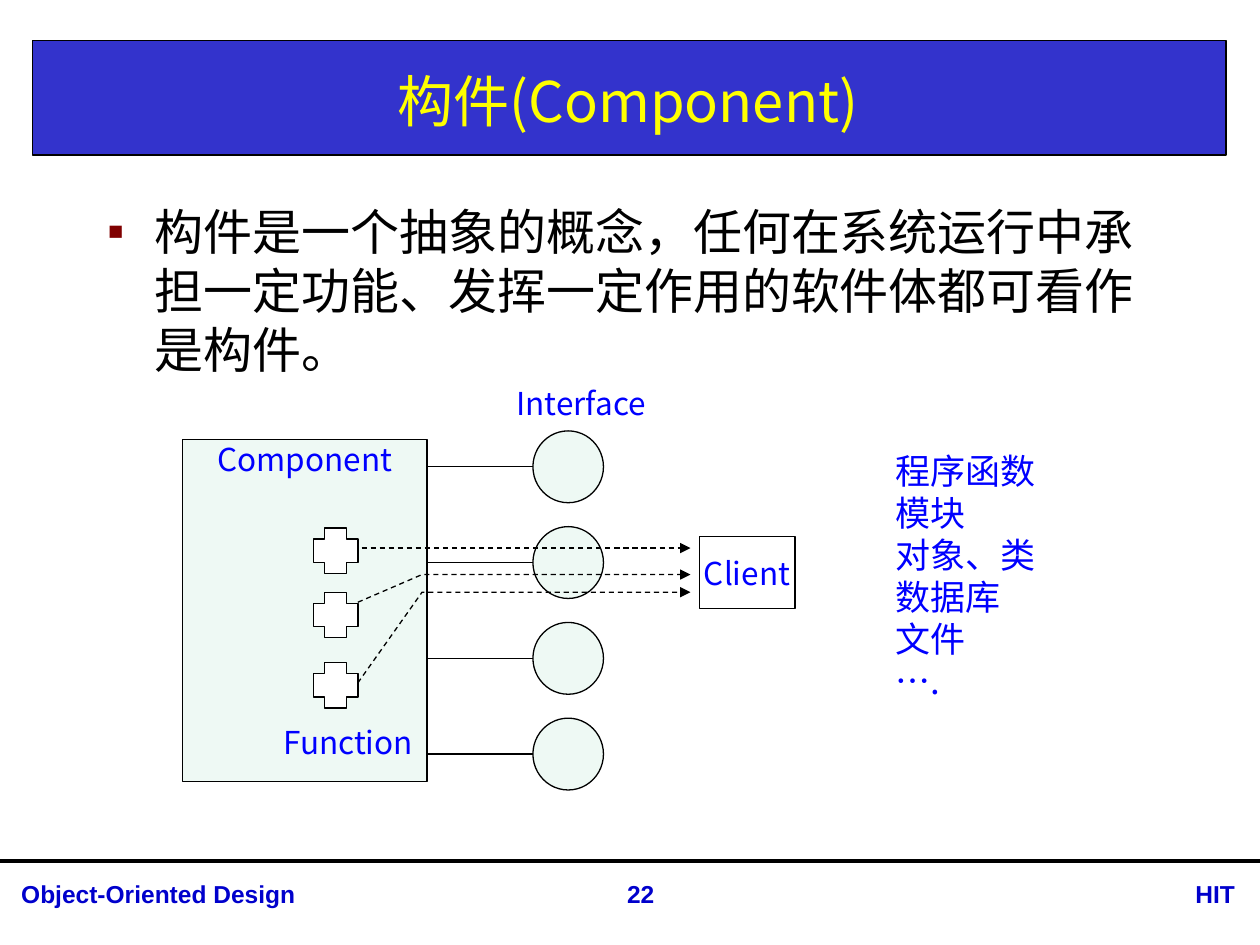
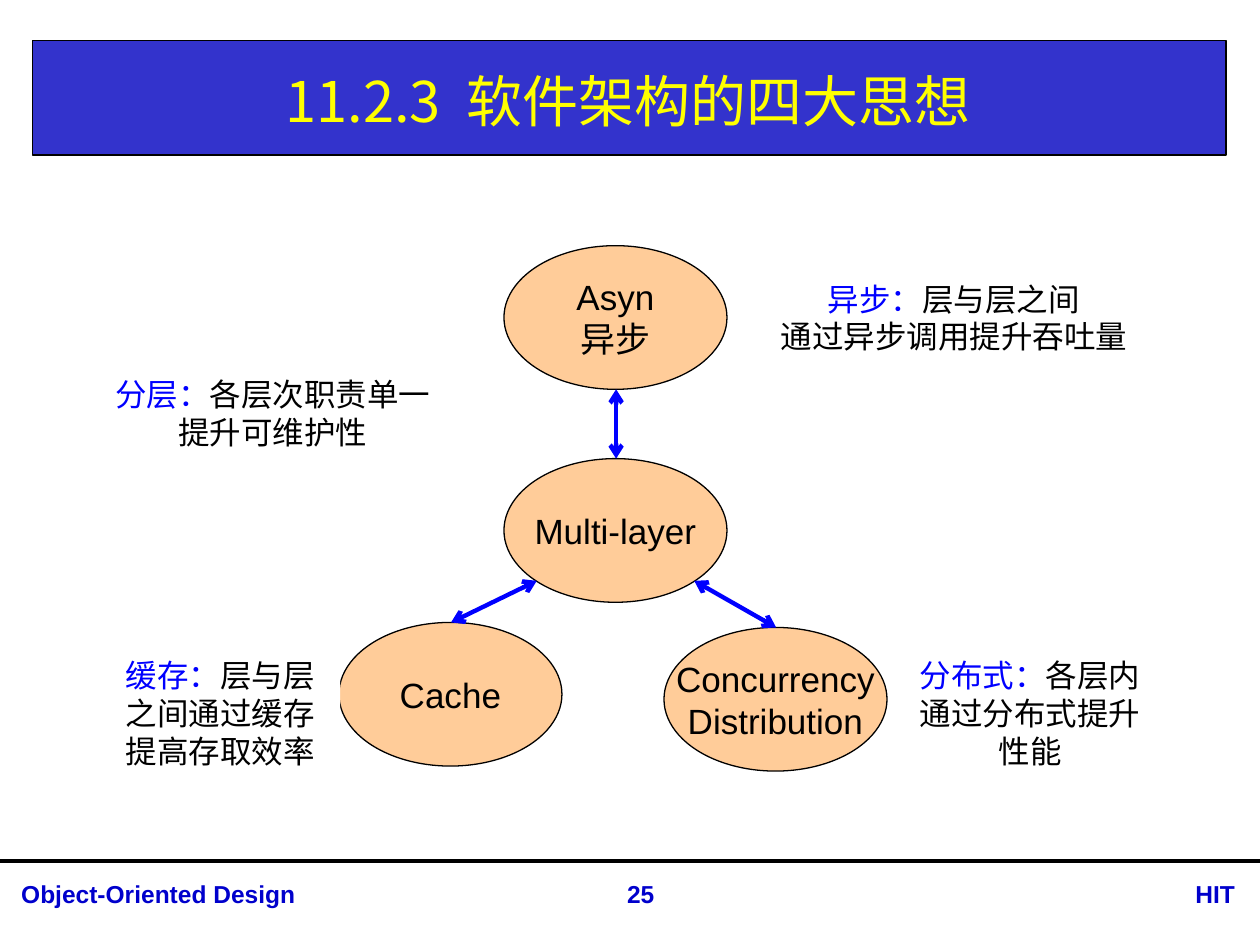
from lxml.etree import SubElement
from pptx import Presentation
from pptx.dml.color import RGBColor
from pptx.enum.dml import MSO_LINE
from pptx.enum.shapes import MSO_CONNECTOR, MSO_SHAPE
from pptx.enum.text import MSO_ANCHOR, MSO_AUTO_SIZE, PP_ALIGN
from pptx.oxml.ns import qn
from pptx.util import Inches, Pt

COLORS = {
    "band": "3333CC", "title": "FFFF00", "footer": "0000CC", "accent": "0000FF",
    "ink": "000000", "paper": "FFFFFF", "mint": "EEF9F4", "peach": "FFCC99",
    "bullet": "800000",
}
CJK_FONT = "Noto Sans CJK SC"
LATIN_FONT = "Arial"
TITLE_ONLY, TITLE_AND_BODY = 5, 1


def rgb(name):
    """Return the named palette colour."""
    return RGBColor.from_string(COLORS[name])


def write_text(shape, paragraphs, size=18, color="accent", font=CJK_FONT, bold=False,
               align=PP_ALIGN.LEFT, anchor=MSO_ANCHOR.TOP, wrap=True, top_inset=0.05):
    """Fill a shape with paragraphs, each a string or a list of (text, color) runs."""
    frame = shape.text_frame
    frame.auto_size = MSO_AUTO_SIZE.NONE
    frame.word_wrap = wrap
    frame.vertical_anchor = anchor
    frame.margin_top = Inches(top_inset)
    for index, content in enumerate(paragraphs):
        paragraph = frame.add_paragraph() if index else frame.paragraphs[0]
        paragraph.alignment = align
        paragraph.space_before = Pt(0)
        paragraph.line_spacing = Pt(round(size * 1.2, 1))
        runs = [(content, color)] if isinstance(content, str) else content
        for text, run_color in runs:
            run = paragraph.add_run()
            run.text = text
            run.font.size = Pt(size)
            run.font.bold = bold
            run.font.name = font
            run.font.color.rgb = rgb(run_color)
            SubElement(run._r.get_or_add_rPr(), qn("a:ea"), typeface=CJK_FONT)


def place(shape, box):
    """Move a shape to a box given in inches."""
    shape.left, shape.top, shape.width, shape.height = map(Inches, box)


def add_box(slide, kind, box, fill, outlined=True):
    """Add a flat preset shape with an optional thin outline."""
    shape = slide.shapes.add_shape(kind, *map(Inches, box))
    shape.shadow.inherit = False
    shape.fill.solid()
    shape.fill.fore_color.rgb = rgb(fill)
    if outlined:
        shape.line.color.rgb = rgb("ink")
        shape.line.width = Pt(0.75)
    else:
        shape.line.fill.background()
    return shape


def add_label(slide, box, paragraphs, **text_format):
    """Add a text box and write into it."""
    write_text(slide.shapes.add_textbox(*map(Inches, box)), paragraphs, **text_format)


def style_line(shape, color="ink", width=0.75, dashed=False, head=None, tail=None):
    """Set colour, width, dash and arrowheads of a line."""
    shape.line.color.rgb = rgb(color)
    shape.line.width = Pt(width)
    if dashed:
        shape.line.dash_style = MSO_LINE.DASH
    outline = shape.line._get_or_add_ln()
    for tag, arrow in (("a:headEnd", head), ("a:tailEnd", tail)):
        if arrow:
            SubElement(outline, qn(tag), type=arrow)


def add_line(slide, start, end, **line_format):
    """Add a straight connector without shadow."""
    connector = slide.shapes.add_connector(
        MSO_CONNECTOR.STRAIGHT, *map(Inches, (*start, *end)))
    style_line(connector, **line_format)
    SubElement(connector._element.spPr, qn("a:effectLst"))


def add_bent_line(slide, points, **line_format):
    """Add an open outline through the given points."""
    start, *rest = [(Inches(x), Inches(y)) for x, y in points]
    builder = slide.shapes.build_freeform(*start)
    builder.add_line_segments(rest, close=False)
    shape = builder.convert_to_shape()
    shape.shadow.inherit = False
    shape.fill.background()
    style_line(shape, **line_format)


def add_framed_slide(presentation, layout, title, number):
    """Add a slide with the title band and the footer."""
    slide = presentation.slides.add_slide(presentation.slide_layouts[layout])
    band = add_box(slide, MSO_SHAPE.RECTANGLE, (0.26, 0.32, 9.47, 0.91), "band")
    slide.shapes._spTree.insert(2, band._element)
    place(slide.shapes.title, (0.26, 0.36, 9.45, 0.87))
    write_text(slide.shapes.title, [title], size=32, color="title",
               align=PP_ALIGN.CENTER, anchor=MSO_ANCHOR.MIDDLE)
    add_line(slide, (0, 6.83), (10, 6.83), width=2.25)
    footers = [
        (0.07, 4.63, "Object-Oriented Design", PP_ALIGN.LEFT),
        (4.57, 1.03, number, PP_ALIGN.CENTER),
        (8.87, 1.03, "HIT", PP_ALIGN.RIGHT),
    ]
    for left, width, text, align in footers:
        add_label(slide, (left, 6.93, width, 0.34), [text], size=14, color="footer",
                  font=LATIN_FONT, bold=True, align=align)
    return slide


def add_bullet_body(slide, box, text):
    """Write one bulleted paragraph into the body placeholder."""
    body = slide.placeholders[1]
    place(body, box)
    write_text(body, [text], size=28, color="ink")
    properties = body.text_frame.paragraphs[0]._p.get_or_add_pPr()
    properties.set("marL", str(Inches(0.38)))
    properties.set("indent", str(-Inches(0.38)))
    bullet_color = SubElement(properties, qn("a:buClr"))
    SubElement(bullet_color, qn("a:srgbClr"), val=COLORS["bullet"])
    SubElement(properties, qn("a:buChar"), char="▪")


def add_component_diagram(slide, left, top):
    """Draw a component, its interfaces and functions, and the client."""
    component = add_box(slide, MSO_SHAPE.RECTANGLE, (left, top + 0.49, 1.94, 2.71), "mint")
    write_text(component, ["Component"], align=PP_ALIGN.CENTER, wrap=False, top_inset=0)

    for index in range(4):
        circle_top = top + 0.42 + index * 0.76
        add_box(slide, MSO_SHAPE.OVAL, (left + 2.78, circle_top, 0.56, 0.57), "mint")
        middle = circle_top + 0.285
        add_line(slide, (left + 1.94, middle), (left + 2.78, middle))
    add_label(slide, (left + 2.55, top, 1.32, 0.4), ["Interface"], wrap=False)

    client = add_box(slide, MSO_SHAPE.RECTANGLE, (left + 4.1, top + 1.26, 0.76, 0.57), "paper")
    write_text(client, ["Client"], align=PP_ALIGN.CENTER, anchor=MSO_ANCHOR.MIDDLE, wrap=False)

    for offset in (1.19, 1.7, 2.26):
        plus = add_box(slide, MSO_SHAPE.CROSS, (left + 1.04, top + offset, 0.35, 0.36), "paper")
        plus.adjustments[0] = 0.25
    add_label(slide, (left + 0.7, top + 2.69, 1.25, 0.4), ["Function"], wrap=False)

    call_format = {"dashed": True, "tail": "triangle"}
    add_line(slide, (left + 1.42, top + 1.35), (left + 4.03, top + 1.35), **call_format)
    for start, end in ((1.78, 1.56), (2.42, 1.7)):
        add_bent_line(slide, [(left + 1.39, top + start), (left + 1.9, top + end),
                              (left + 4.03, top + end)], **call_format)


def add_idea_map(slide, left, top):
    """Draw the four ideas as ovals joined by double arrows."""
    ideas = [
        (1.31, 1.69, ["Multi-layer"]),
        (1.31, 0, ["Asyn", "异步"]),
        (0, 2.99, ["Cache"]),
        (2.58, 3.03, ["Concurrency", "Distribution"]),
    ]
    for x, y, lines in ideas:
        oval = add_box(slide, MSO_SHAPE.OVAL, (left + x, top + y, 1.77, 1.14), "peach")
        write_text(oval, lines, size=20, color="ink", font=LATIN_FONT,
                   align=PP_ALIGN.CENTER, anchor=MSO_ANCHOR.MIDDLE, wrap=False)
    links = [((2.2, 1.14), (2.2, 1.69)), ((1.57, 2.66), (0.89, 2.99)),
             ((2.82, 2.66), (3.47, 3.03))]
    for (x1, y1), (x2, y2) in links:
        add_line(slide, (left + x1, top + y1), (left + x2, top + y2),
                 color="accent", width=2.5, head="arrow", tail="arrow")


def add_idea_note(slide, box, term, first_line, *more_lines):
    """Add a centred note that opens with a coloured term."""
    note = add_box(slide, MSO_SHAPE.RECTANGLE, box, "paper", outlined=False)
    write_text(note, [[(term, "accent"), (first_line, "ink")], *more_lines],
               color="ink", align=PP_ALIGN.CENTER)


def build_component_slide(presentation):
    """Build the slide that explains components."""
    slide = add_framed_slide(presentation, TITLE_AND_BODY, "构件(Component)", "22")
    add_bullet_body(slide, (0.75, 1.55, 8.66, 4.73),
                    "构件是一个抽象的概念，任何在系统运行中承担一定功能、"
                    "发挥一定作用的软件体都可看作是构件。")
    add_label(slide, (7.01, 3.52, 2.36, 2.12),
              ["程序函数", "模块", "对象、类", "数据库", "文件", "…."], size=20)
    add_component_diagram(slide, 1.45, 3)


def build_ideas_slide(presentation):
    """Build the slide with the four architecture ideas."""
    slide = add_framed_slide(presentation, TITLE_ONLY, "11.2.3  软件架构的四大思想", "25")
    add_idea_map(slide, 2.69, 1.95)
    notes = [
        ((5.92, 2.17, 3.3, 0.71), "异步：", "层与层之间", "通过异步调用提升吞吐量"),
        ((0.8, 5.16, 1.9, 1.01), "缓存：", "层与层之间通过缓存提高存取效率"),
        ((7.13, 5.16, 2.09, 1.01), "分布式：", "各层内", "通过分布式提升性能"),
        ((0.8, 2.93, 2.73, 0.71), "分层：", "各层次职责单一", "提升可维护性"),
    ]
    for note in notes:
        add_idea_note(slide, *note)


def main():
    """Build both slides and save the presentation."""
    presentation = Presentation()
    presentation.slide_width, presentation.slide_height = Inches(10), Inches(7.5)
    build_component_slide(presentation)
    build_ideas_slide(presentation)
    presentation.save("out.pptx")


if __name__ == "__main__":
    main()
